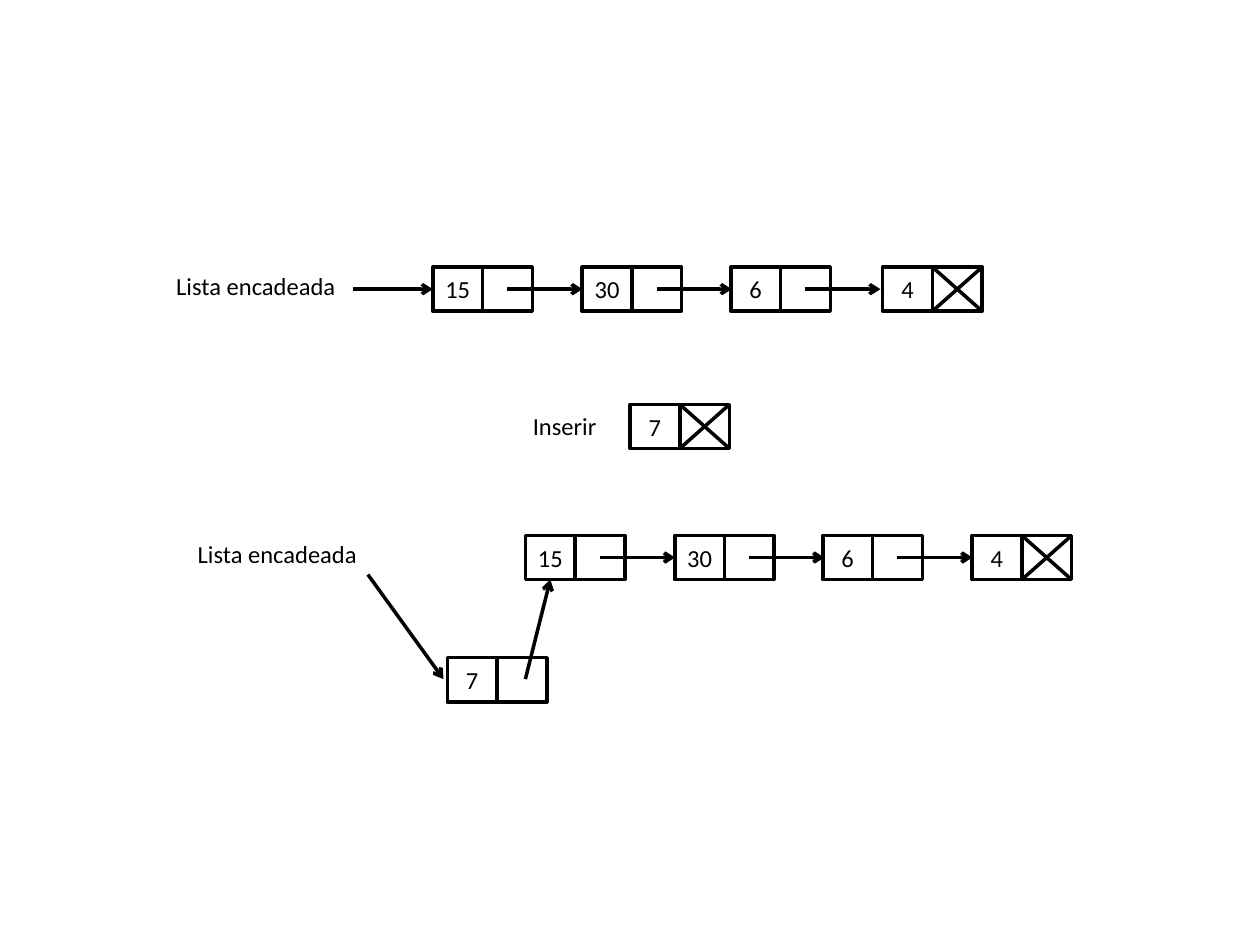
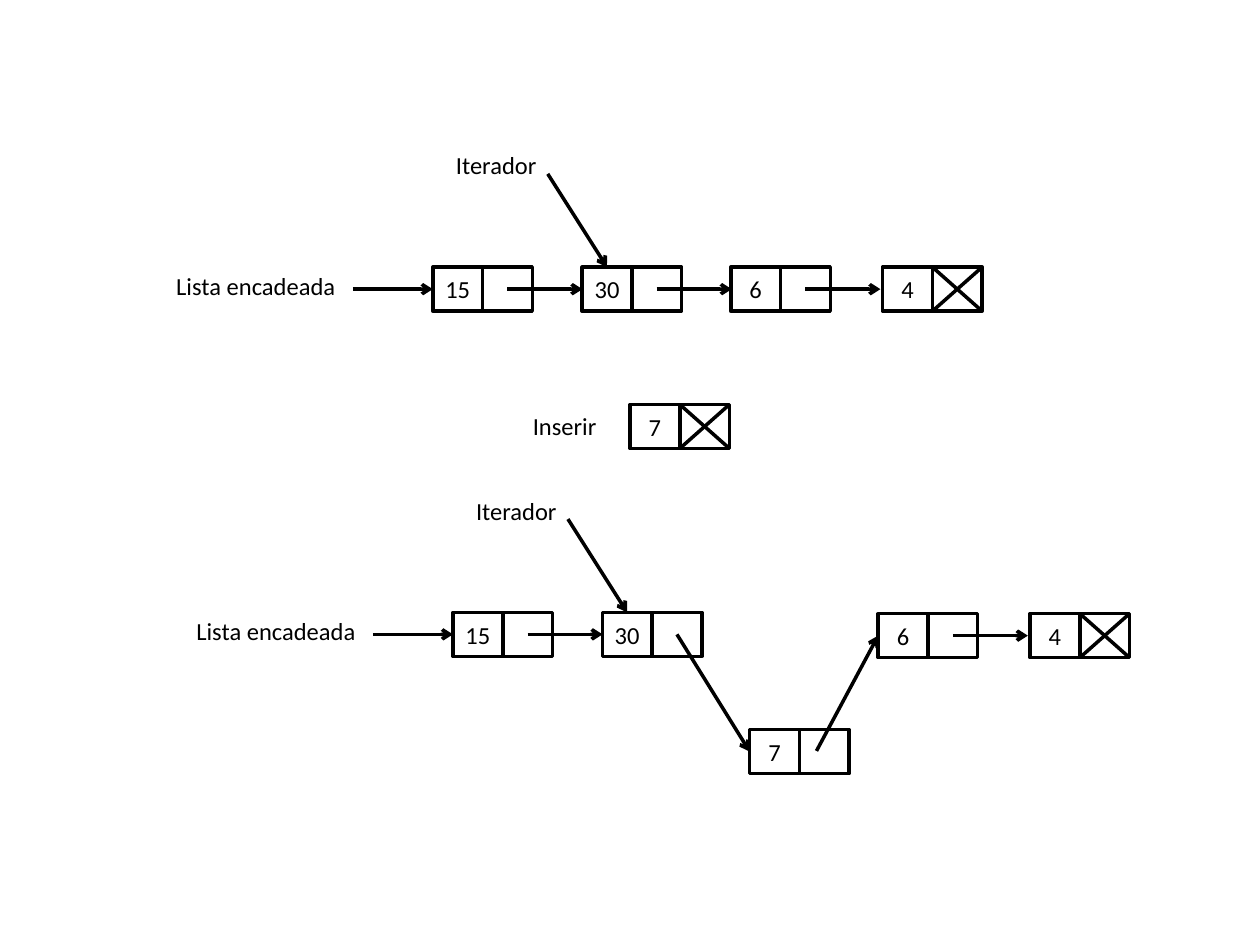
"""Draws insertion into a linked list, at its head and after an iterator."""
from dataclasses import dataclass
from enum import Enum

from lxml.etree import SubElement
from pptx import Presentation
from pptx.dml.color import RGBColor
from pptx.enum.shapes import MSO_CONNECTOR, MSO_SHAPE
from pptx.enum.text import MSO_ANCHOR, MSO_AUTO_SIZE, PP_ALIGN
from pptx.oxml.ns import qn
from pptx.slide import Slide
from pptx.text.text import TextFrame
from pptx.util import Inches, Pt

COLORS = {"ink": "000000", "paper": "FFFFFF"}
FONT_NAME = "Calibri"
FONT_SIZE = Pt(14)
LINE_WIDTH = Pt(2)
SLIDE_WIDTH, SLIDE_HEIGHT = Inches(10), Inches(7.5)
COLUMNS, ROWS = 100, 75
CELL_WIDTH, CELL_HEIGHT = 3.95, 3.5
LINK_LENGTH = 5.95
LABEL_HEIGHT = 3.4

Point = tuple[float, float]


class Pointer(Enum):
    """What the second cell of a node shows."""
    NEXT = "straight arrow to the next node"
    NULL = "crossed cell"
    BENT = "arrow drawn separately"


@dataclass(frozen=True)
class Node:
    """A value cell beside a pointer cell."""
    value: int
    left: float
    top: float
    pointer: Pointer = Pointer.NEXT

    @property
    def pointer_left(self) -> float:
        return self.left + CELL_WIDTH

    @property
    def right(self) -> float:
        return self.left + 2 * CELL_WIDTH

    @property
    def bottom(self) -> float:
        return self.top + CELL_HEIGHT

    @property
    def entry(self) -> Point:
        return self.left, self.top + CELL_HEIGHT / 2

    @property
    def value_top(self) -> Point:
        return self.left + CELL_WIDTH / 2, self.top

    @property
    def value_bottom(self) -> Point:
        return self.left + CELL_WIDTH / 2, self.bottom

    @property
    def exit(self) -> Point:
        return self.left + 1.5 * CELL_WIDTH, self.top + CELL_HEIGHT / 2


@dataclass(frozen=True)
class Label:
    """A caption to the left of a node or an arrow."""
    text: str
    left: float
    top: float
    width: float


@dataclass(frozen=True)
class Arrow:
    """An arrow between two points of the grid."""
    start: Point
    end: Point


@dataclass(frozen=True)
class Diagram:
    """The parts of one list."""
    nodes: tuple[Node, ...]
    labels: tuple[Label, ...]
    arrows: tuple[Arrow, ...] = ()


def across(columns: float) -> int:
    """Turns grid columns into a length."""
    return round(SLIDE_WIDTH * columns / COLUMNS)


def down(rows: float) -> int:
    """Turns grid rows into a length."""
    return round(SLIDE_HEIGHT * rows / ROWS)


def color(name: str) -> RGBColor:
    """Looks up a named colour."""
    return RGBColor.from_string(COLORS[name])


def write(frame: TextFrame, text: str, alignment: PP_ALIGN) -> None:
    """Writes one paragraph in the shared font."""
    paragraph = frame.paragraphs[0]
    paragraph.text = text
    paragraph.alignment = alignment
    paragraph.font.name = FONT_NAME
    paragraph.font.size = FONT_SIZE
    paragraph.font.color.rgb = color("ink")


def draw_cell(slide: Slide, left: float, top: float, text: str = "") -> None:
    """Draws one outlined cell of a node."""
    shape = slide.shapes.add_shape(
        MSO_SHAPE.RECTANGLE, across(left), down(top), across(CELL_WIDTH), down(CELL_HEIGHT))
    shape.shadow.inherit = False
    shape.fill.solid()
    shape.fill.fore_color.rgb = color("paper")
    shape.line.color.rgb = color("ink")
    shape.line.width = LINE_WIDTH
    if text:
        frame = shape.text_frame
        frame.margin_left = frame.margin_right = 0
        frame.vertical_anchor = MSO_ANCHOR.MIDDLE
        write(frame, text, PP_ALIGN.CENTER)


def draw_line(slide: Slide, start: Point, end: Point, arrowhead: bool = False) -> None:
    """Draws a straight line, with an arrowhead at its end if asked."""
    connector = slide.shapes.add_connector(
        MSO_CONNECTOR.STRAIGHT, across(start[0]), down(start[1]), across(end[0]), down(end[1]))
    connector.line.color.rgb = color("ink")
    connector.line.width = LINE_WIDTH
    if arrowhead:
        SubElement(connector.line._get_or_add_ln(), qn("a:tailEnd"), type="arrow")
    SubElement(connector._element.spPr, qn("a:effectLst"))


def draw_node(slide: Slide, node: Node) -> None:
    """Draws both cells of a node and the cross of a null pointer."""
    draw_cell(slide, node.left, node.top, str(node.value))
    draw_cell(slide, node.pointer_left, node.top)
    if node.pointer is Pointer.NULL:
        draw_line(slide, (node.right, node.top), (node.pointer_left, node.bottom))
        draw_line(slide, (node.pointer_left, node.top), (node.right, node.bottom))


def draw_label(slide: Slide, label: Label) -> None:
    """Draws a caption."""
    box = slide.shapes.add_textbox(
        across(label.left), down(label.top), across(label.width), down(LABEL_HEIGHT))
    box.fill.solid()
    box.fill.fore_color.rgb = color("paper")
    box.text_frame.word_wrap = False
    box.text_frame.auto_size = MSO_AUTO_SIZE.SHAPE_TO_FIT_TEXT
    write(box.text_frame, label.text, PP_ALIGN.LEFT)


def draw_diagram(slide: Slide, diagram: Diagram) -> None:
    """Draws nodes and captions, then the arrows over them."""
    for node in diagram.nodes:
        draw_node(slide, node)
    for label in diagram.labels:
        draw_label(slide, label)
    for node in diagram.nodes:
        if node.pointer is Pointer.NEXT:
            x, y = node.exit
            draw_line(slide, (x, y), (x + LINK_LENGTH, y), arrowhead=True)
    for arrow in diagram.arrows:
        draw_line(slide, arrow.start, arrow.end, arrowhead=True)


def list_label(left: float, top: float) -> Label:
    """Names the list."""
    return Label("Lista encadeada", left, top, 14.8)


def iterator(node: Node) -> Diagram:
    """Points an iterator at a node from above."""
    x, y = node.value_top
    return Diagram(
        (), (Label("Iterador", node.left - 11, node.top - 9.75, 8.6),),
        (Arrow((x - 4.7, y - 7.4), (x, y)),))


def head_arrow(node: Node) -> Arrow:
    """Leads from the name of the list to its first node."""
    x, y = node.entry
    return Arrow((x - 6.35, y), (x, y))


def initial_list() -> Diagram:
    """Lays out the list before the insertion."""
    nodes = (Node(15, 34.35, 21.2), Node(30, 46.2, 21.2), Node(6, 58, 21.2),
             Node(4, 70.05, 21.2, Pointer.NULL))
    return Diagram(nodes, (list_label(13, 21),), (head_arrow(nodes[0]),))


def new_node() -> Diagram:
    """Lays out the node to insert."""
    return Diagram((Node(7, 50, 32.1, Pointer.NULL),), (Label("Inserir", 41.3, 32.1, 7.1),))


def list_after_head_insertion() -> Diagram:
    """Lays out the list with the new node in front."""
    first = Node(15, 41.7, 42.5)
    inserted = Node(7, 35.5, 52.2, Pointer.BENT)
    nodes = (first, Node(30, 53.55, 42.5), Node(6, 65.3, 42.5),
             Node(4, 77.15, 42.5, Pointer.NULL), inserted)
    arrows = (Arrow((29.2, 45.6), (35.2, 53.9)), Arrow((41.7, 53.9), first.value_bottom))
    return Diagram(nodes, (list_label(14.7, 42.3),), arrows)


def list_after_iterator_insertion() -> Diagram:
    """Lays out the list with the new node behind the iterator."""
    first, current = Node(15, 35.95, 48.6), Node(30, 47.8, 48.6, Pointer.BENT)
    inserted, following = Node(7, 59.5, 57.9, Pointer.BENT), Node(6, 69.7, 48.7)
    nodes = (first, current, inserted, following, Node(4, 81.75, 48.7, Pointer.NULL))
    arrows = (head_arrow(first), Arrow(current.exit, inserted.entry),
              Arrow((64.8, 59.6), following.entry))
    return Diagram(nodes, (list_label(14.6, 48.4),), arrows)


def main() -> None:
    """Builds and saves the presentation."""
    presentation = Presentation()
    presentation.slide_width, presentation.slide_height = SLIDE_WIDTH, SLIDE_HEIGHT
    before, after = initial_list(), list_after_iterator_insertion()
    slides = (
        (before, new_node(), list_after_head_insertion()),
        (before, iterator(before.nodes[1]), new_node(), after, iterator(after.nodes[1])),
    )
    for diagrams in slides:
        slide = presentation.slides.add_slide(presentation.slide_layouts[6])
        for diagram in diagrams:
            draw_diagram(slide, diagram)
    presentation.save("out.pptx")


main()
